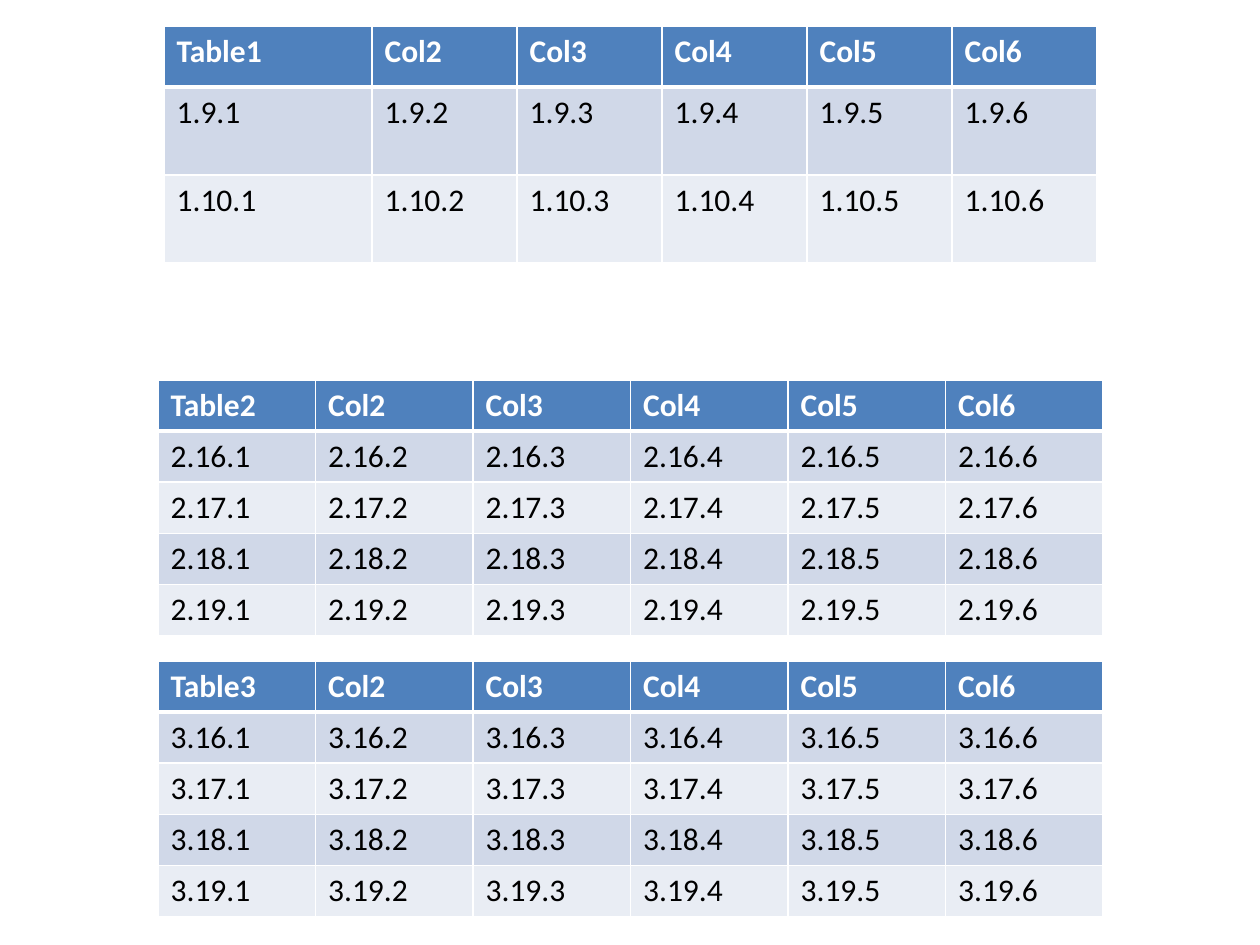
from dataclasses import dataclass

from lxml import etree
from pptx import Presentation
from pptx import util as u
from pptx.dml import color
from pptx.oxml import ns

PX_PER_INCH = 126
COLUMN_COUNT = 6


def px(length):
    return u.Inches(length / PX_PER_INCH)


@dataclass(frozen=True)
class Theme:
    font: str = "Calibri"
    text_size: int = 18
    header_fill: str = "4F81BD"
    header_text: str = "FFFFFF"
    body_text: str = "000000"
    bands: tuple = ("D0D8E8", "E9EDF4")
    border: str = "FFFFFF"
    thin: int = 1
    thick: int = 3


class SlideBuilder:
    def __init__(self, slide, theme):
        self.slide = slide
        self.theme = theme

    def table(self, left, top, height, column_widths, row_heights, rows):
        frame = self.slide.shapes.add_table(
            len(rows), len(column_widths),
            px(left), px(top), px(sum(column_widths)), px(height))
        table = frame.table
        table.horz_banding = False
        for column, width in zip(table.columns, column_widths):
            column.width = px(width)
        for row, row_height in zip(table.rows, row_heights):
            row.height = px(row_height)
        frame.height = px(height)
        for row_index, labels in enumerate(rows):
            for column_index, label in enumerate(labels):
                self.cell(table.cell(row_index, column_index), label, row_index)

    def cell(self, cell, label, row_index):
        theme = self.theme
        is_header = row_index == 0
        band = theme.bands[(row_index - 1) % len(theme.bands)]
        self.borders(cell, row_index)
        cell.fill.solid()
        cell.fill.fore_color.rgb = color.RGBColor.from_string(
            theme.header_fill if is_header else band)
        span = cell.text_frame.paragraphs[0].add_run()
        span.text = label
        span.font.name = theme.font
        span.font.size = u.Pt(theme.text_size)
        span.font.bold = is_header
        span.font.color.rgb = color.RGBColor.from_string(
            theme.header_text if is_header else theme.body_text)

    def borders(self, cell, row_index):
        theme = self.theme
        properties = cell._tc.get_or_add_tcPr()
        for side in ("L", "R", "T", "B"):
            under_header = (row_index, side) in ((0, "B"), (1, "T"))
            width = theme.thick if under_header else theme.thin
            line = etree.SubElement(
                properties, ns.qn(f"a:ln{side}"), w=str(u.Pt(width)))
            fill = etree.SubElement(line, ns.qn("a:solidFill"))
            etree.SubElement(fill, ns.qn("a:srgbClr"), val=theme.border)


def table_rows(number, row_numbers):
    columns = range(1, COLUMN_COUNT + 1)
    header = [f"Table{number}"] + [f"Col{column}" for column in columns[1:]]
    return [header] + [
        [f"{number}.{row}.{column}" for column in columns]
        for row in row_numbers]


def main():
    deck = Presentation()
    deck.slide_width = px(1260)
    deck.slide_height = px(945)
    page = deck.slides.add_slide(deck.slide_layouts[6])
    builder = SlideBuilder(page, Theme())

    builder.table(164, 26, 328, [208] + [145] * 5, [61, 88, 88],
                  table_rows(1, range(9, 11)))
    for number, top in ((2, 380), (3, 661)):
        builder.table(158, top, 255, [945 / COLUMN_COUNT] * COLUMN_COUNT,
                      [51] * 5, table_rows(number, range(16, 20)))

    deck.save("out.pptx")


if __name__ == "__main__":
    main()
